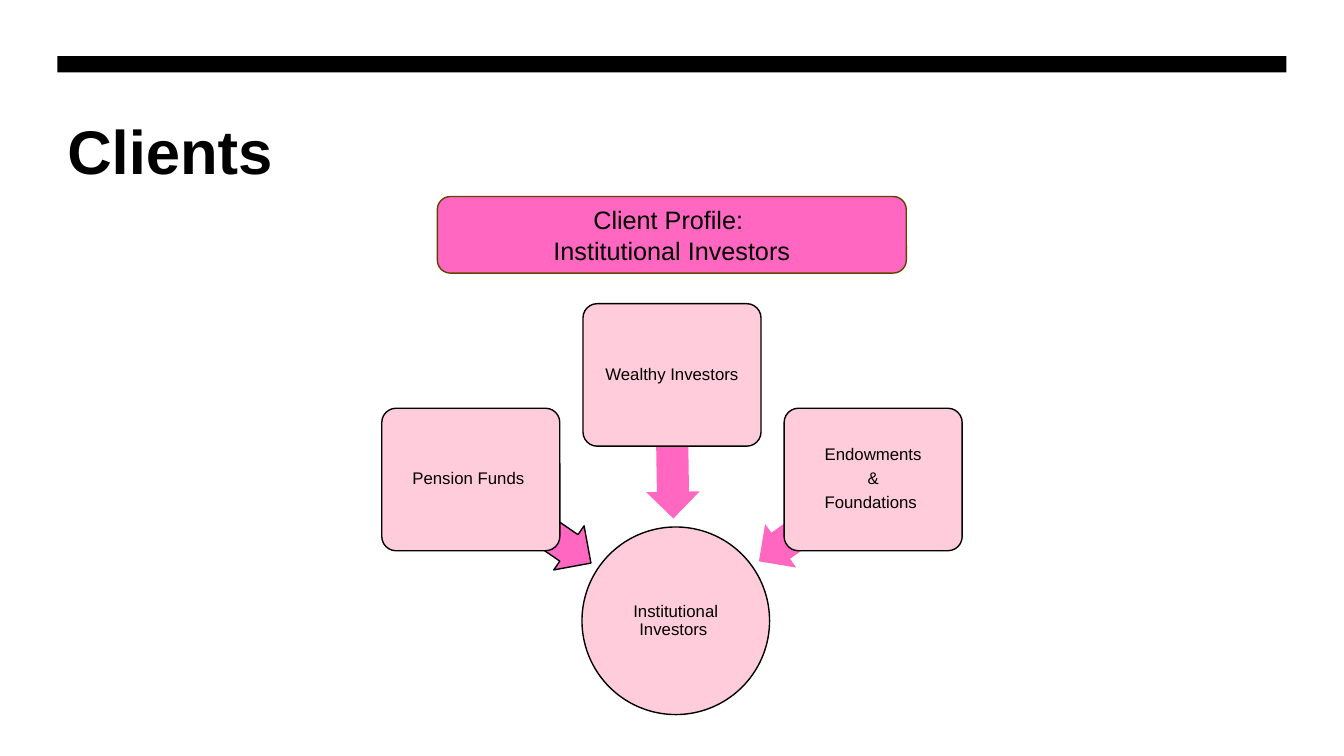
import pptx
import pptx.dml.color
import pptx.enum.shapes
import pptx.enum.text
import pptx.util
from dataclasses import dataclass

Pt = pptx.util.Pt
Shape = pptx.enum.shapes.MSO_SHAPE
Align = pptx.enum.text.PP_ALIGN
Anchor = pptx.enum.text.MSO_ANCHOR


@dataclass(frozen=True)
class Theme:
    font: str = "Arial"
    ink: str = "000000"
    paper: str = "FFFFFF"
    hot_pink: str = "FF67C0"
    pale_pink: str = "FFCCDC"
    brown: str = "634300"
    title_size: int = 44
    banner_size: int = 18
    label_size: int = 12


theme = Theme()


def add_figure(kind, left, top, width, height, fill, line=None):
    figure = page.shapes.add_shape(kind, Pt(left), Pt(top), Pt(width), Pt(height))
    figure.shadow.inherit = False
    figure.fill.solid()
    figure.fill.fore_color.rgb = pptx.dml.color.RGBColor.from_string(fill)
    if line:
        figure.line.color.rgb = pptx.dml.color.RGBColor.from_string(line)
        figure.line.width = Pt(1)
    else:
        figure.line.fill.background()
    return figure


def write(box, lines, size, inset, align=Align.CENTER, anchor=Anchor.MIDDLE,
          bold=False, spacing=1.0, gap=0):
    frame = box.text_frame
    frame.word_wrap = True
    frame.vertical_anchor = anchor
    frame.margin_left = frame.margin_right = Pt(inset[0])
    frame.margin_top = frame.margin_bottom = Pt(inset[1])
    for index, line in enumerate(lines):
        para = frame.add_paragraph() if index else frame.paragraphs[0]
        para.alignment = align
        para.line_spacing = spacing
        if index:
            para.space_before = Pt(gap)
        span = para.add_run()
        span.text = line
        span.font.name = theme.font
        span.font.size = Pt(size)
        span.font.bold = bold
        span.font.color.rgb = pptx.dml.color.RGBColor.from_string(theme.ink)


deck = pptx.Presentation()
deck.slide_width, deck.slide_height = Pt(960), Pt(540)
page = deck.slides.add_slide(deck.slide_layouts[6])
page.background.fill.solid()
page.background.fill.fore_color.rgb = pptx.dml.color.RGBColor.from_string(theme.paper)

# Title and the bar above it
title = page.shapes.add_textbox(Pt(41), Pt(77), Pt(878), Pt(88))
write(title, ["Clients"], theme.title_size, (7.2, 3.6), Align.LEFT, Anchor.TOP, bold=True)
add_figure(Shape.RECTANGLE, 41, 40.2, 878, 11.5, theme.ink)

# Circle that the arrows lead to
hub = add_figure(Shape.OVAL, 415.7, 376.4, 134, 134, theme.pale_pink, theme.ink)
write(hub, ["Institutional Investors "], theme.label_size, (0.7, 0.7), spacing=0.9)

# Client groups, each card over its arrow
# card left, card top, lines, arrow left, arrow top, arrow length, rotation, arrow outline
clients = [
    (272.7, 291.6, ["Pension Funds "], 326.9, 353.5, 104.4, 214.5, theme.ink),
    (416.4, 216.9, ["Wealthy Investors"], 429.1, 300.2, 102.2, 269.1, None),
    (560.1, 291.6, ["Endowments", "&", "Foundations "], 532.8, 352.8, 100.1, 324.5, None),
]
for left, top, lines, arrow_left, arrow_top, length, rotation, outline in clients:
    arrow = add_figure(Shape.LEFT_ARROW, arrow_left, arrow_top, length, 38.2,
                       theme.hot_pink, outline)
    arrow.adjustments[0] = 0.6
    arrow.adjustments[1] = 0.5
    arrow.rotation = rotation
    card = add_figure(Shape.ROUNDED_RECTANGLE, left, top, 127.2, 101.8,
                      theme.pale_pink, theme.ink)
    card.adjustments[0] = 0.1
    write(card, lines, theme.label_size, (1.5, 1.5), spacing=0.9, gap=4.2)

# Profile banner
banner = add_figure(Shape.ROUNDED_RECTANGLE, 312.4, 140.4, 335, 54.7,
                    theme.hot_pink, theme.brown)
banner.adjustments[0] = 0.17
write(banner, ["Client Profile: ", "Institutional Investors"], theme.banner_size, (7.2, 3.6))

deck.save("out.pptx")
